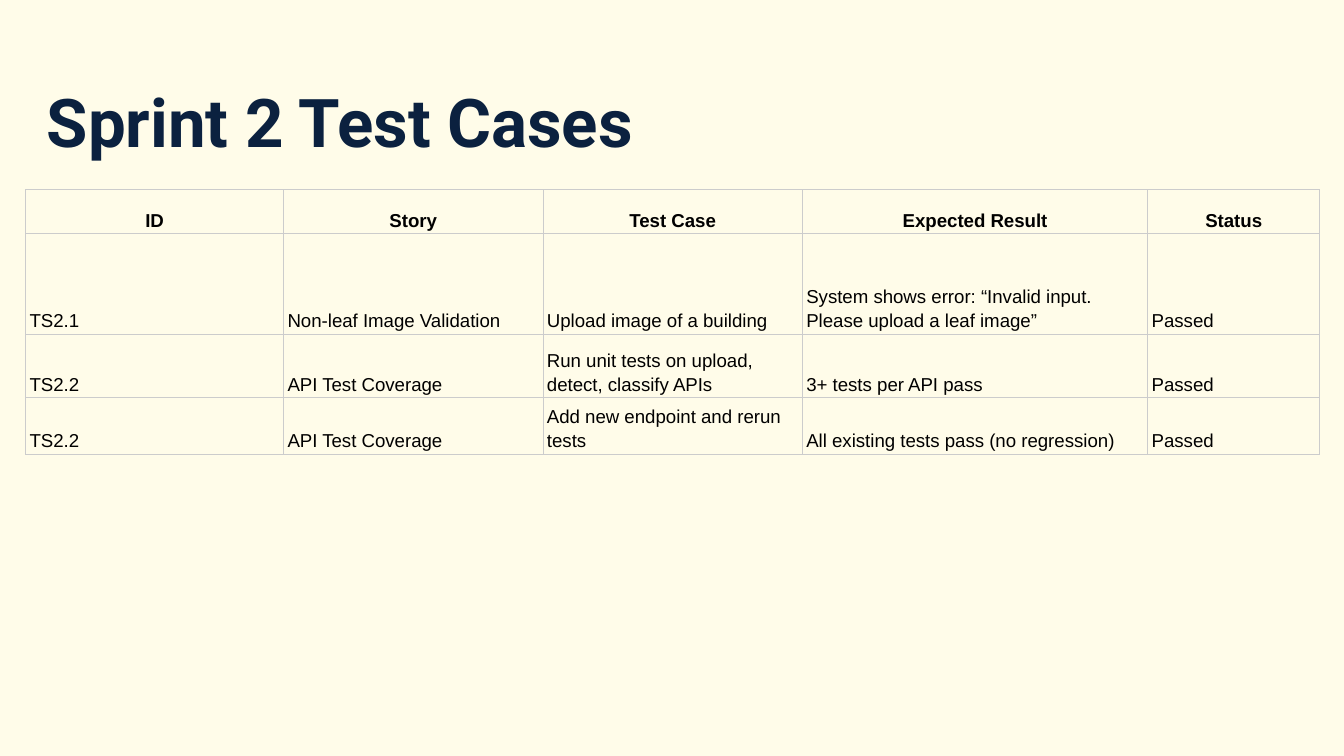
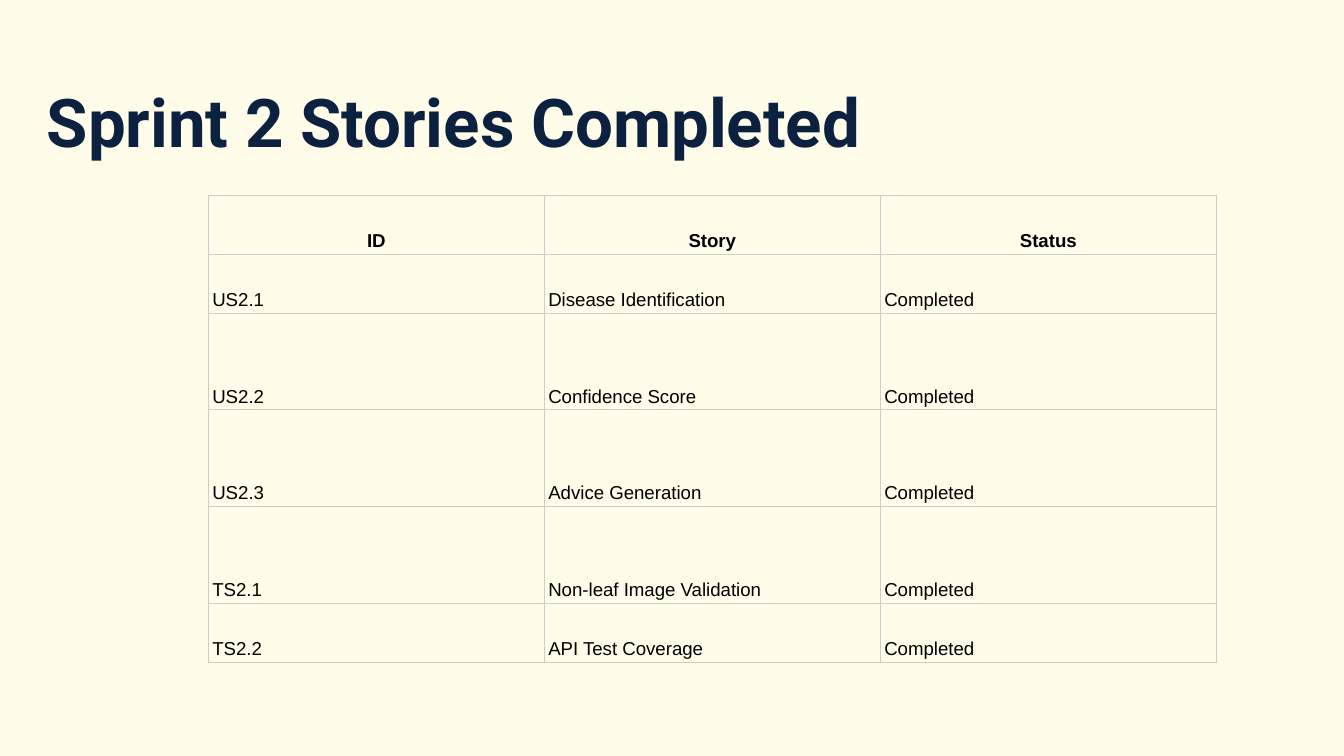
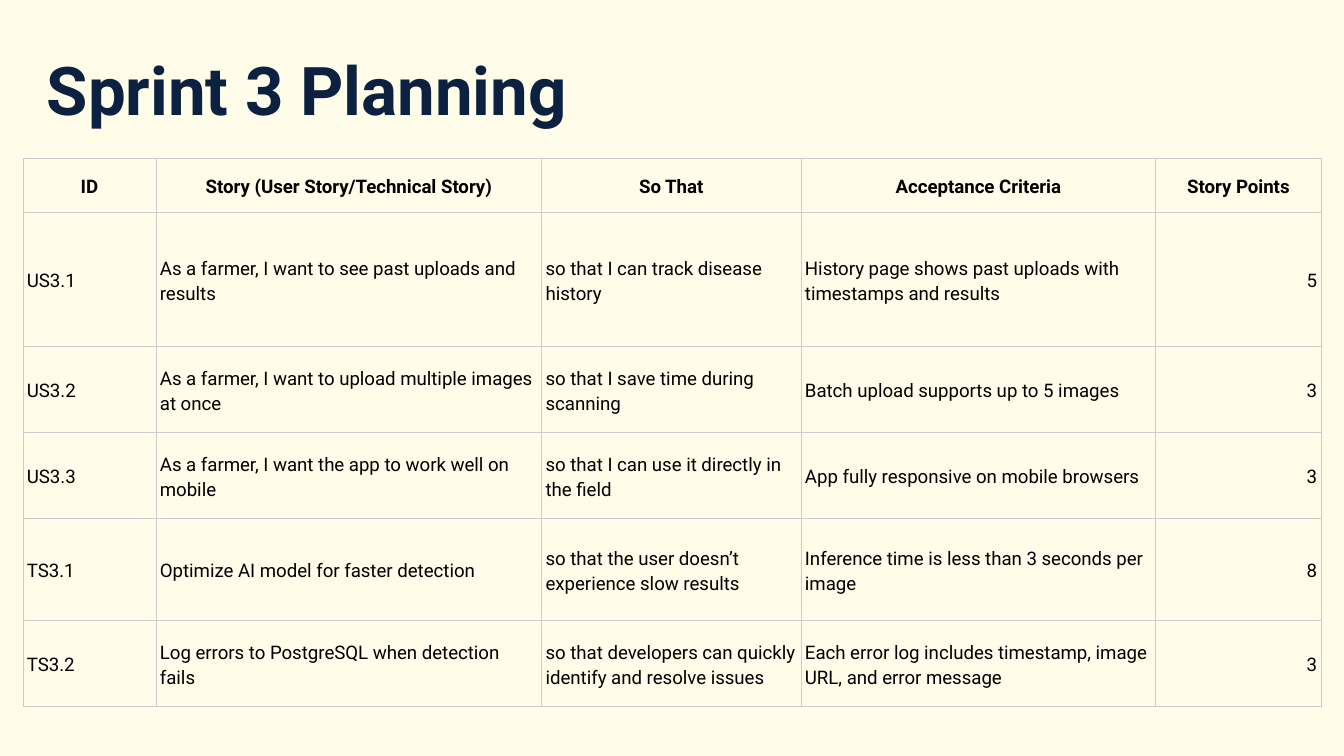
from dataclasses import dataclass

from lxml.etree import SubElement
from pptx import Presentation
from pptx.dml.color import RGBColor
from pptx.enum.text import MSO_ANCHOR, PP_ALIGN
from pptx.oxml.ns import qn
from pptx.presentation import Presentation as Deck
from pptx.slide import Slide
from pptx.table import _Cell as Cell
from pptx.util import Inches, Pt

COLORS = {"background": "FFFCE9", "title": "0B213F", "text": "000000", "border": "CCCCCC"}
TITLE_FONT = "Roboto"
BORDER_WIDTH = Pt(0.42)
FRAME_SIDE = Inches(3.28)
BLANK_LAYOUT = 6


@dataclass
class TablePage:
    """A titled page with one table; lengths are in inches."""
    title: str
    title_top: float
    title_width: float
    left: float
    top: float
    columns: list[float]
    row_heights: list[float]
    cells: list[list[str]]
    font: str = "Arial"
    anchor: MSO_ANCHOR = MSO_ANCHOR.BOTTOM


PAGES = [
    TablePage(
        "Sprint 2 Test Cases", 0.5, 4.82, 0.19, 1.41,
        [1.92, 1.93, 1.93, 2.57, 1.28], [0.33, 0.75, 0.47, 0.36],
        [
            ["ID", "Story", "Test Case", "Expected Result", "Status"],
            ["TS2.1", "Non-leaf Image Validation", "Upload image of a building",
             "System shows error: “Invalid input. Please upload a leaf image”", "Passed"],
            ["TS2.2", "API Test Coverage", "Run unit tests on upload, detect, classify APIs",
             "3+ tests per API pass", "Passed"],
            ["TS2.2", "API Test Coverage", "Add new endpoint and rerun tests",
             "All existing tests pass (no regression)", "Passed"],
        ],
    ),
    TablePage(
        "Sprint 2 Stories Completed", 0.5, 9.16, 1.55, 1.45,
        [2.5] * 3, [0.44, 0.44, 0.72, 0.72, 0.72, 0.44],
        [
            ["ID", "Story", "Status"],
            ["US2.1", "Disease Identification", "Completed"],
            ["US2.2", "Confidence Score", "Completed"],
            ["US2.3", "Advice Generation", "Completed"],
            ["TS2.1", "Non-leaf Image Validation", "Completed"],
            ["TS2.2", "API Test Coverage", "Completed"],
        ],
    ),
    TablePage(
        "Sprint 3 Planning", 0.26, 9.16, 0.17, 1.18,
        [0.99, 2.87, 1.93, 2.64, 1.23], [0.4, 1, 0.64, 0.64, 0.76, 0.64],
        [
            ["ID", "Story (User Story/Technical Story)", "So That", "Acceptance Criteria",
             "Story Points"],
            ["US3.1", "As a farmer, I want to see past uploads and results",
             "so that I can track disease history",
             "History page shows past uploads with timestamps and results", "5"],
            ["US3.2", "As a farmer, I want to upload multiple images at once",
             "so that I save time during scanning", "Batch upload supports up to 5 images", "3"],
            ["US3.3", "As a farmer, I want the app to work well on mobile",
             "so that I can use it directly in the field",
             "App fully responsive on mobile browsers", "3"],
            ["TS3.1", "Optimize AI model for faster detection",
             "so that the user doesn’t experience slow results",
             "Inference time is less than 3 seconds per image", "8"],
            ["TS3.2", "Log errors to PostgreSQL when detection fails",
             "so that developers can quickly identify and resolve issues",
             "Each error log includes timestamp, image URL, and error message", "3"],
        ],
        font="Roboto",
        anchor=MSO_ANCHOR.MIDDLE,
    ),
]


def set_font(para, name: str, size: float, color: str, bold: bool) -> None:
    para.font.name = name
    para.font.size = Pt(size)
    para.font.bold = bold
    para.font.color.rgb = RGBColor.from_string(COLORS[color])


def add_title(page: Slide, content: TablePage) -> None:
    box = page.shapes.add_textbox(
        Inches(0.25), Inches(content.title_top), Inches(content.title_width), Inches(0.48))
    frame = box.text_frame
    frame.word_wrap = True
    frame.margin_left = frame.margin_right = Inches(0.1)
    frame.margin_top = frame.margin_bottom = Inches(0.1)
    frame.text = content.title
    set_font(frame.paragraphs[0], TITLE_FONT, 36, "title", True)


def add_borders(cell: Cell) -> None:
    properties = cell._tc.get_or_add_tcPr()
    for side in ("lnL", "lnR", "lnT", "lnB"):
        line = SubElement(properties, qn(f"a:{side}"), w=str(BORDER_WIDTH))
        fill = SubElement(line, qn("a:solidFill"))
        SubElement(fill, qn("a:srgbClr"), val=COLORS["border"])


def fill_cell(cell: Cell, text: str, content: TablePage, is_header: bool) -> None:
    add_borders(cell)
    cell.fill.background()
    cell.margin_left = cell.margin_right = Inches(0.03)
    cell.margin_top = cell.margin_bottom = Inches(0.02)
    cell.vertical_anchor = content.anchor
    cell.text = text
    para = cell.text_frame.paragraphs[0]
    para.line_spacing = 1.15
    if is_header:
        para.alignment = PP_ALIGN.CENTER
    elif text.isdigit():
        para.alignment = PP_ALIGN.RIGHT
    set_font(para, content.font, 10, "text", is_header)


def add_grid(page: Slide, content: TablePage) -> None:
    frame = page.shapes.add_table(
        len(content.row_heights), len(content.columns),
        Inches(content.left), Inches(content.top), FRAME_SIDE, FRAME_SIDE)
    table = frame.table
    table.first_row = table.horz_banding = False
    for column, width in zip(table.columns, content.columns):
        column.width = Inches(width)
    for index, (row, height) in enumerate(zip(table.rows, content.row_heights)):
        row.height = Inches(height)
        for cell, text in zip(row.cells, content.cells[index]):
            fill_cell(cell, text, content, is_header=index == 0)
    # Sizing rows and columns resizes the frame, so its size is set last.
    frame.width = frame.height = FRAME_SIDE


def add_page(deck: Deck, content: TablePage) -> None:
    page = deck.slides.add_slide(deck.slide_layouts[BLANK_LAYOUT])
    page.background.fill.solid()
    page.background.fill.fore_color.rgb = RGBColor.from_string(COLORS["background"])
    add_title(page, content)
    add_grid(page, content)


def main() -> None:
    deck = Presentation()
    deck.slide_width = Inches(10)
    deck.slide_height = deck.slide_width * 9 // 16
    for content in PAGES:
        add_page(deck, content)
    deck.save("out.pptx")


if __name__ == "__main__":
    main()
